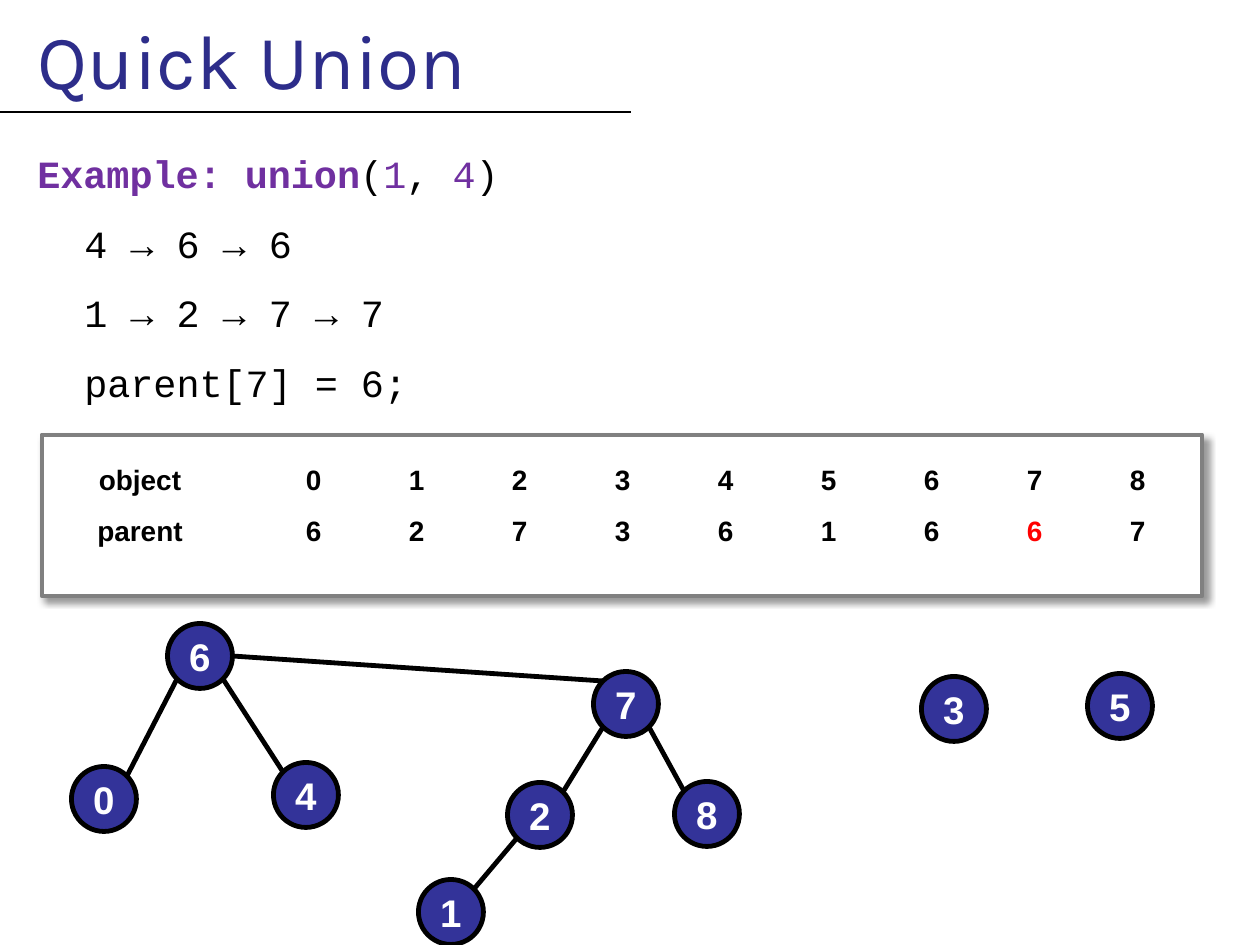
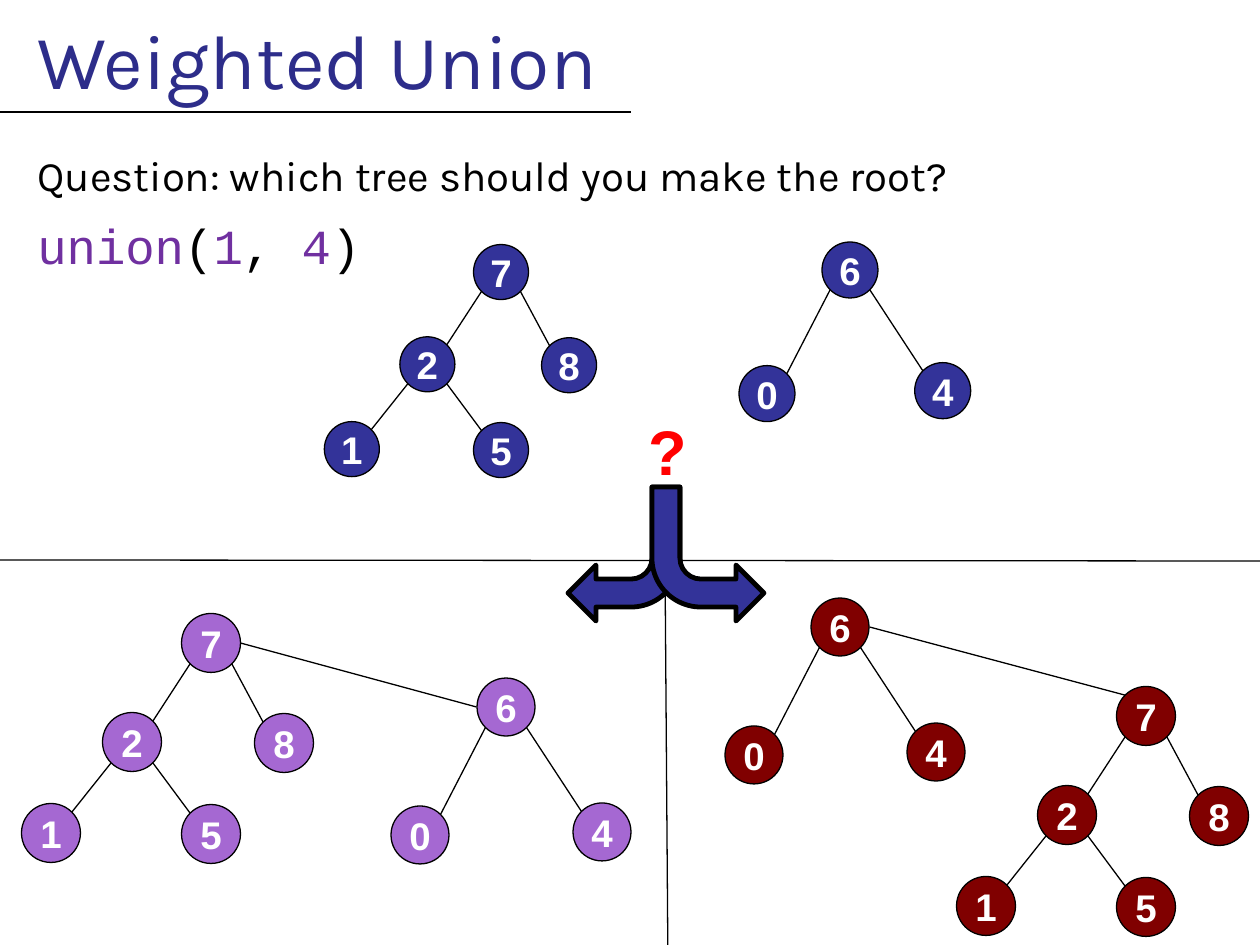
from dataclasses import dataclass
from math import cos, radians, sin

from lxml.etree import SubElement
from pptx import Presentation
from pptx.dml.color import RGBColor
from pptx.enum.shapes import MSO_CONNECTOR, MSO_SHAPE
from pptx.enum.text import MSO_ANCHOR, PP_ALIGN
from pptx.oxml.ns import qn
from pptx.util import Pt

PX = 914400 / 126
PAGE_WIDTH, PAGE_HEIGHT = 1260, 945

BLACK = RGBColor(0x00, 0x00, 0x00)
WHITE = RGBColor(0xFF, 0xFF, 0xFF)
GREY = RGBColor(0x80, 0x80, 0x80)
RED = RGBColor(0xFF, 0x00, 0x00)
TITLE_BLUE = RGBColor(0x2D, 0x2D, 0x8A)
NODE_BLUE = RGBColor(0x33, 0x33, 0x99)
CODE_PURPLE = RGBColor(0x70, 0x30, 0xA0)
MAUVE = RGBColor(0xA5, 0x68, 0xD2)
MAROON = RGBColor(0x80, 0x00, 0x00)

SANS, MONO, HEADING = "Arial", "Courier New", "Karla"
THIN, THICK = 0.75, 2.75
INDENTS = (25, 72)
RIGHT, LOWER_RIGHT, LOWER_LEFT, LEFT, UPPER_LEFT, UPPER_RIGHT = 0, 45, 135, 180, 225, 315

CALL_PARTS = [("(", BLACK), ("1", CODE_PURPLE), (", ", BLACK), ("4", CODE_PURPLE), (")", BLACK)]


@dataclass
class Tree:
    """Node centres relative to the root, drawn for nodes of the given diameter."""
    diameter: int
    places: dict
    edges: list


SIX_TREE = Tree(58, {"0": (-86, 128), "4": (96, 125), "6": (0, 0)}, ["60", "64"])
SEVEN_TREE = Tree(
    59,
    {"8": (73, 100), "2": (-79, 99), "1": (-160, 190), "5": (0, 191), "7": (0, 0)},
    ["25", "21", "72", "78"],
)
QUICK_SIX_TREE = Tree(65, {"0": (-96, 143), "4": (106, 139), "6": (0, 0)}, ["60", "64"])
QUICK_SEVEN_TREE = Tree(
    65, {"8": (81, 110), "2": (-86, 111), "1": (-175, 208), "7": (0, 0)}, ["21", "72", "78"]
)


def emu(*lengths):
    return [round(length * PX) for length in lengths]


def add_span(para, text, size, font, color, bold=False):
    span = para.add_run()
    span.text = text
    span.font.size = Pt(size)
    span.font.name = font
    span.font.bold = bold
    span.font.color.rgb = color


def add_text_box(page, left, top, width, height, top_inset=6):
    frame = page.shapes.add_textbox(*emu(left, top, width, height)).text_frame
    frame.word_wrap = True
    frame.margin_top = emu(top_inset)[0]
    return frame


def add_line(shapes, start, end, weight=THIN):
    line = shapes.add_connector(MSO_CONNECTOR.STRAIGHT, *emu(*start, *end))
    line.line.color.rgb = BLACK
    line.line.width = Pt(weight)
    SubElement(line._element.spPr, qn("a:effectLst"))


def add_figure(shapes, kind, box, fill, outline=BLACK, weight=THICK):
    figure = shapes.add_shape(kind, *emu(*box))
    figure.shadow.inherit = False
    figure.fill.solid()
    figure.fill.fore_color.rgb = fill
    figure.line.color.rgb = outline
    figure.line.width = Pt(weight)
    return figure


def add_page(deck, title):
    page = deck.slides.add_slide(deck.slide_layouts[6])
    add_line(page.shapes, (0, 112), (631, 112), 1.5)
    para = add_text_box(page, 0, 0, PAGE_WIDTH, 126, 13).paragraphs[0]
    set_indent(para, 0)
    add_span(para, title, 44, HEADING, TITLE_BLUE)
    return page


def set_indent(para, level):
    para._p.get_or_add_pPr().set("marL", str(emu(INDENTS[level])[0]))


def add_body(page, lines, space_before):
    """Each line is an indent level, size, font and spans of (text, colour, bold)."""
    frame = add_text_box(page, 0, 137, 1286, 808, 13)
    for index, (level, size, font, spans) in enumerate(lines):
        para = frame.add_paragraph() if index else frame.paragraphs[0]
        if index:
            para.space_before = Pt(space_before)
        set_indent(para, level)
        for text, color, *bold in spans:
            add_span(para, text, size, font, color, *bold)


def add_node(shapes, label, centre, diameter, fill, weight):
    x, y = centre
    box = (x - diameter / 2, y - diameter / 2, diameter, diameter)
    frame = add_figure(shapes, MSO_SHAPE.OVAL, box, fill, weight=weight).text_frame
    frame.margin_left = frame.margin_right = frame.margin_top = frame.margin_bottom = 0
    frame.vertical_anchor = MSO_ANCHOR.MIDDLE
    frame.word_wrap = False
    para = frame.paragraphs[0]
    para.alignment = PP_ALIGN.CENTER
    add_span(para, label, 22, SANS, WHITE, True)


def rim_point(centre, diameter, angle):
    x, y = centre
    return (x + diameter / 2 * cos(radians(angle)), y + diameter / 2 * sin(radians(angle)))


def add_tree(shapes, tree, root, diameter, fill, weight=THIN):
    scale = diameter / tree.diameter
    centres = {
        label: (root[0] + dx * scale, root[1] + dy * scale)
        for label, (dx, dy) in tree.places.items()
    }
    for label, centre in centres.items():
        add_node(shapes, label, centre, diameter, fill, weight)
    for parent, child in tree.edges:
        if centres[child][0] < centres[parent][0]:
            leave, arrive = LOWER_LEFT, UPPER_RIGHT
        else:
            leave, arrive = LOWER_RIGHT, UPPER_LEFT
        add_line(
            shapes,
            rim_point(centres[parent], diameter, leave),
            rim_point(centres[child], diameter, arrive),
            weight,
        )


def add_root_link(shapes, upper, lower, diameter, arrive, weight=THIN):
    start = rim_point(upper, diameter, RIGHT)
    add_line(shapes, start, rim_point(lower, diameter, arrive), weight)


def add_shadow(figure):
    effects = figure._element.spPr.find(qn("a:effectLst"))
    shadow = SubElement(
        effects, qn("a:outerShdw"), blurRad=str(Pt(4)), dist=str(Pt(3)),
        dir=str(45 * 60000), algn="tl", rotWithShape="0",
    )
    color = SubElement(shadow, qn("a:srgbClr"), val=str(BLACK))
    SubElement(color, qn("a:alpha"), val="40000")


def add_parent_table(page, left, top, width, height):
    """Framed table of each object and its parent; the changed parent is red."""
    frame_box = (left, top, width, height)
    add_shadow(add_figure(page.shapes, MSO_SHAPE.RECTANGLE, frame_box, WHITE, GREY))
    rows = [["object", "", *"012345678"], ["parent", "", *"627361667"]]
    changed = (1, 9)
    columns = [184, 29] + [103] * 9
    table = page.shapes.add_table(
        len(rows), len(columns), *emu(left + 6, top + 20, sum(columns), 102)
    ).table
    table.first_row = table.horz_banding = False
    for column, column_width in zip(table.columns, columns):
        column.width = emu(column_width)[0]
    for row_index, row in enumerate(rows):
        for column_index, text in enumerate(row):
            cell = table.cell(row_index, column_index)
            cell.fill.background()
            cell.vertical_anchor = MSO_ANCHOR.MIDDLE
            para = cell.text_frame.paragraphs[0]
            para.alignment = PP_ALIGN.CENTER
            if text:
                color = RED if (row_index, column_index) == changed else BLACK
                add_span(para, text, 16, SANS, color, True)


def add_choice_arrows(page, left, top):
    """Two bent arrows that share a stem, below a question mark."""
    for offset, mirrored in ((0, False), (84, True)):
        box = (left + offset, top, 112, 134)
        arrow = add_figure(page.shapes, MSO_SHAPE.BENT_ARROW, box, NODE_BLUE)
        arrow.rotation = 180
        if mirrored:
            arrow._element.spPr.xfrm.set("flipH", "1")
    frame = add_text_box(page, left + 68, top - 80, 64, 89)
    frame.word_wrap = False
    add_span(frame.paragraphs[0], "?", 36, SANS, RED, True)


def build_quick_union(deck):
    page = add_page(deck, "Quick Union")
    steps = ["4 → 6 → 6", "1 → 2 → 7 → 7", "parent[7] = 6;"]
    call = [("Example: union", CODE_PURPLE, True)] + CALL_PARTS
    lines = [(0, 22, MONO, call)] + [(1, 22, MONO, [(step, BLACK)]) for step in steps]
    add_body(page, lines, 13.4)
    add_parent_table(page, 42, 435, 1160, 161)

    six, seven, diameter = (200, 656), (626, 704), QUICK_SIX_TREE.diameter
    add_tree(page.shapes, QUICK_SIX_TREE, six, diameter, NODE_BLUE, THICK)
    add_tree(page.shapes, QUICK_SEVEN_TREE, seven, diameter, NODE_BLUE, THICK)
    for label, centre in (("3", (954, 709)), ("5", (1120, 706))):
        add_node(page.shapes, label, centre, diameter, NODE_BLUE, THICK)
    add_root_link(page.shapes, six, seven, diameter, UPPER_LEFT, THICK)


def build_weighted_union(deck):
    page = add_page(deck, "Weighted Union")
    question = "Question: which tree should you make the root?"
    add_body(page, [
        (0, 24, HEADING, [(question, BLACK)]),
        (0, 28, MONO, [("union", CODE_PURPLE)] + CALL_PARTS),
    ], 8.5)

    mauve_seven, mauve_six = (211, 643), (506, 707)
    maroon_six, maroon_seven = (840, 627), (1146, 716)
    for tree, root, diameter, fill in (
        (SIX_TREE, (850, 270), 56, NODE_BLUE),
        (SEVEN_TREE, mauve_seven, 59, MAUVE),
        (SIX_TREE, mauve_six, 58, MAUVE),
        (SIX_TREE, maroon_six, 58, MAROON),
        (SEVEN_TREE, maroon_seven, 59, MAROON),
        (SEVEN_TREE, (501, 272), 55, NODE_BLUE),
    ):
        add_tree(page.shapes.add_group_shape().shapes, tree, root, diameter, fill)
    add_root_link(page.shapes, mauve_seven, mauve_six, 59, LEFT)
    add_root_link(page.shapes, maroon_six, maroon_seven, 59, UPPER_LEFT)

    add_line(page.shapes, (665, 558), (668, 971))
    add_line(page.shapes, (0, 560), (PAGE_WIDTH, 561))
    add_choice_arrows(page, 568, 487)


def main():
    deck = Presentation()
    deck.slide_width, deck.slide_height = emu(PAGE_WIDTH, PAGE_HEIGHT)
    build_quick_union(deck)
    build_weighted_union(deck)
    deck.save("out.pptx")


if __name__ == "__main__":
    main()
